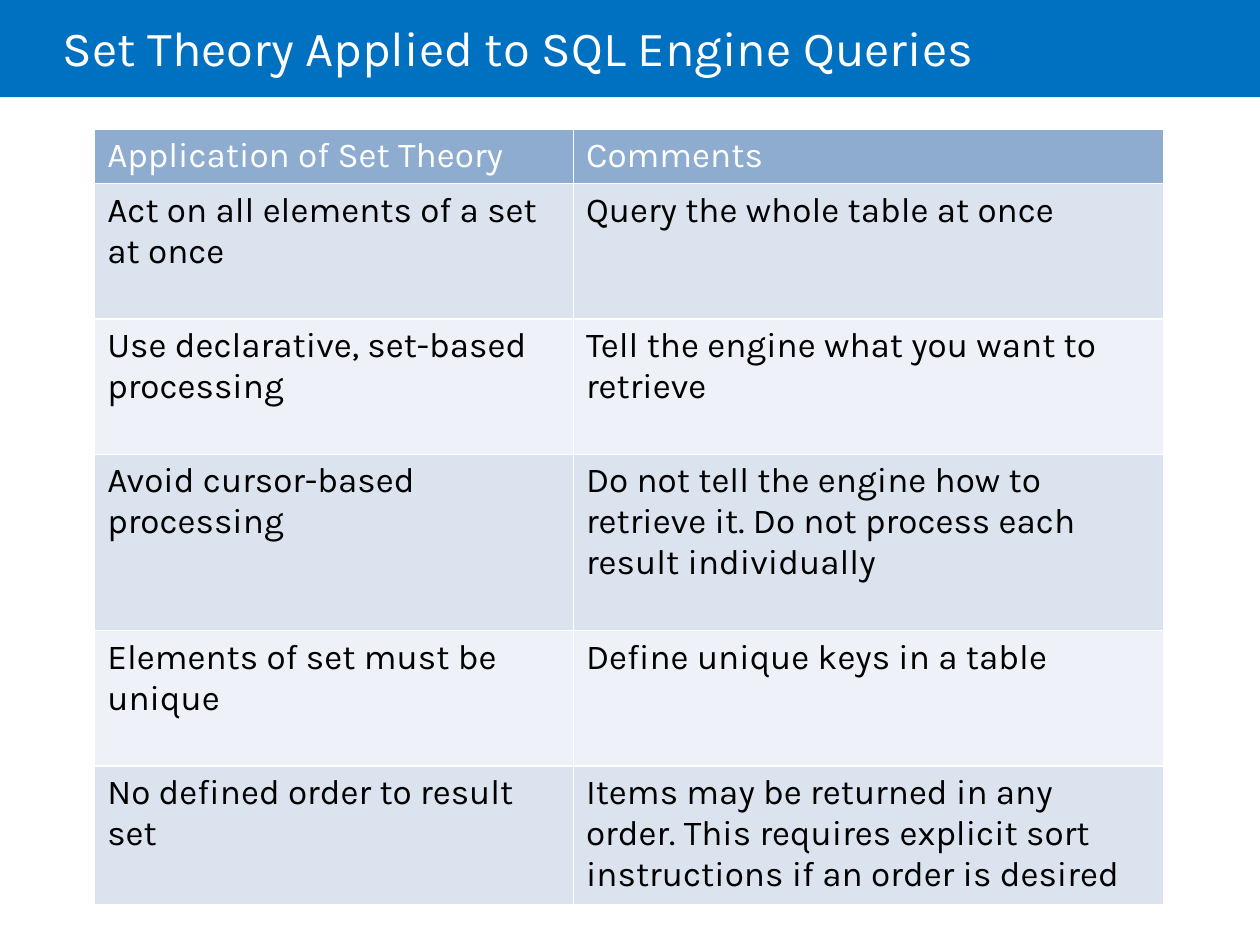
from lxml import etree
from pptx import Presentation
from pptx.dml.color import RGBColor
from pptx.enum.shapes import MSO_SHAPE
from pptx.enum.text import MSO_ANCHOR
from pptx.oxml.ns import qn
from pptx.util import Cm, Pt

RECTANGLE = MSO_SHAPE.RECTANGLE
MIDDLE = MSO_ANCHOR.MIDDLE

WHITE = RGBColor(0xFF, 0xFF, 0xFF)
BLACK = RGBColor(0x00, 0x00, 0x00)
BANNER_BLUE = RGBColor(0x00, 0x70, 0xC0)
HEADER_BLUE = RGBColor(0x8D, 0xAC, 0xD0)
BAND_COLORS = (RGBColor(0xDB, 0xE3, 0xEE), RGBColor(0xEE, 0xF1, 0xF7))

HEADINGS = ("Application of Set Theory", "Comments")
APPLICATIONS = [
    ("Act on all elements of a set at once", "Query the whole table at once"),
    ("Use declarative, set-based processing",
     "Tell the engine what you want to retrieve"),
    ("Avoid cursor-based processing",
     "Do not tell the engine how to retrieve it. "
     "Do not process each result individually"),
    ("Elements of set must be unique", "Define unique keys in a table"),
    ("No defined order to result set",
     "Items may be returned in any order. "
     "This requires explicit sort instructions if an order is desired"),
]
COLUMN_WIDTHS = (9.65, 11.9)
ROW_HEIGHTS = (1.07, 2.73, 2.73, 3.55, 2.73, 2.73)


class SlideBuilder:
    """Holds the style and the slide being filled."""

    font_name = "Karla"
    title_size = Pt(28)
    table_size = Pt(20)
    border_width = Pt(1)

    def __init__(self, slide):
        self.slide = slide

    def format_text(self, text_frame, size, color):
        for paragraph in text_frame.paragraphs:
            for run in paragraph.runs:
                run.font.name = self.font_name
                run.font.size = size
                run.font.color.rgb = color

    def banner(self, left, top, width, height, color):
        band = self.slide.shapes.add_shape(
            RECTANGLE, Cm(left), Cm(top), Cm(width), Cm(height))
        band.shadow.inherit = False
        band.fill.solid()
        band.fill.fore_color.rgb = color
        band.line.fill.background()

    def title(self, text, left, top, width, height):
        frame = self.slide.shapes.add_textbox(
            Cm(left), Cm(top), Cm(width), Cm(height)).text_frame
        frame.word_wrap = True
        frame.vertical_anchor = MIDDLE
        frame.margin_left = 0
        frame.text = text
        frame.paragraphs[0].line_spacing = 0.85
        self.format_text(frame, self.title_size, WHITE)

    def cell_borders(self, cell, color):
        properties = cell._tc.get_or_add_tcPr()
        for position, side in enumerate(("lnL", "lnR", "lnT", "lnB")):
            line = etree.Element(qn(f"a:{side}"), w=str(self.border_width))
            fill = etree.SubElement(line, qn("a:solidFill"))
            etree.SubElement(fill, qn("a:srgbClr"), val=str(color))
            properties.insert(position, line)

    def table(self, rows, left, top, widths, heights):
        table = self.slide.shapes.add_table(
            len(rows), len(widths), Cm(left), Cm(top),
            Cm(sum(widths)), Cm(sum(heights))).table
        table.first_row = False
        table.horz_banding = False
        for column, width in zip(table.columns, widths):
            column.width = Cm(width)
        for index, (row, texts, height) in enumerate(
                zip(table.rows, rows, heights)):
            row.height = Cm(height)
            is_header = index == 0
            fill_color = HEADER_BLUE if is_header else BAND_COLORS[(index - 1) % 2]
            for cell, text in zip(row.cells, texts):
                cell.text_frame.text = text
                self.format_text(cell.text_frame, self.table_size,
                                 WHITE if is_header else BLACK)
                cell.fill.solid()
                cell.fill.fore_color.rgb = fill_color
                self.cell_borders(cell, WHITE)


def main():
    presentation = Presentation()
    presentation.slide_width = Cm(25.4)
    presentation.slide_height = Cm(19.05)
    builder = SlideBuilder(
        presentation.slides.add_slide(presentation.slide_layouts[6]))

    # Title banner
    builder.banner(0, 0, 25.4, 1.96, BANNER_BLUE)
    builder.title("Set Theory Applied to SQL Engine Queries", 1.27, 0, 21.59, 2.06)

    # Set theory table
    builder.table([HEADINGS, *APPLICATIONS], 1.91, 2.6, COLUMN_WIDTHS, ROW_HEIGHTS)

    presentation.save("out.pptx")


if __name__ == "__main__":
    main()
